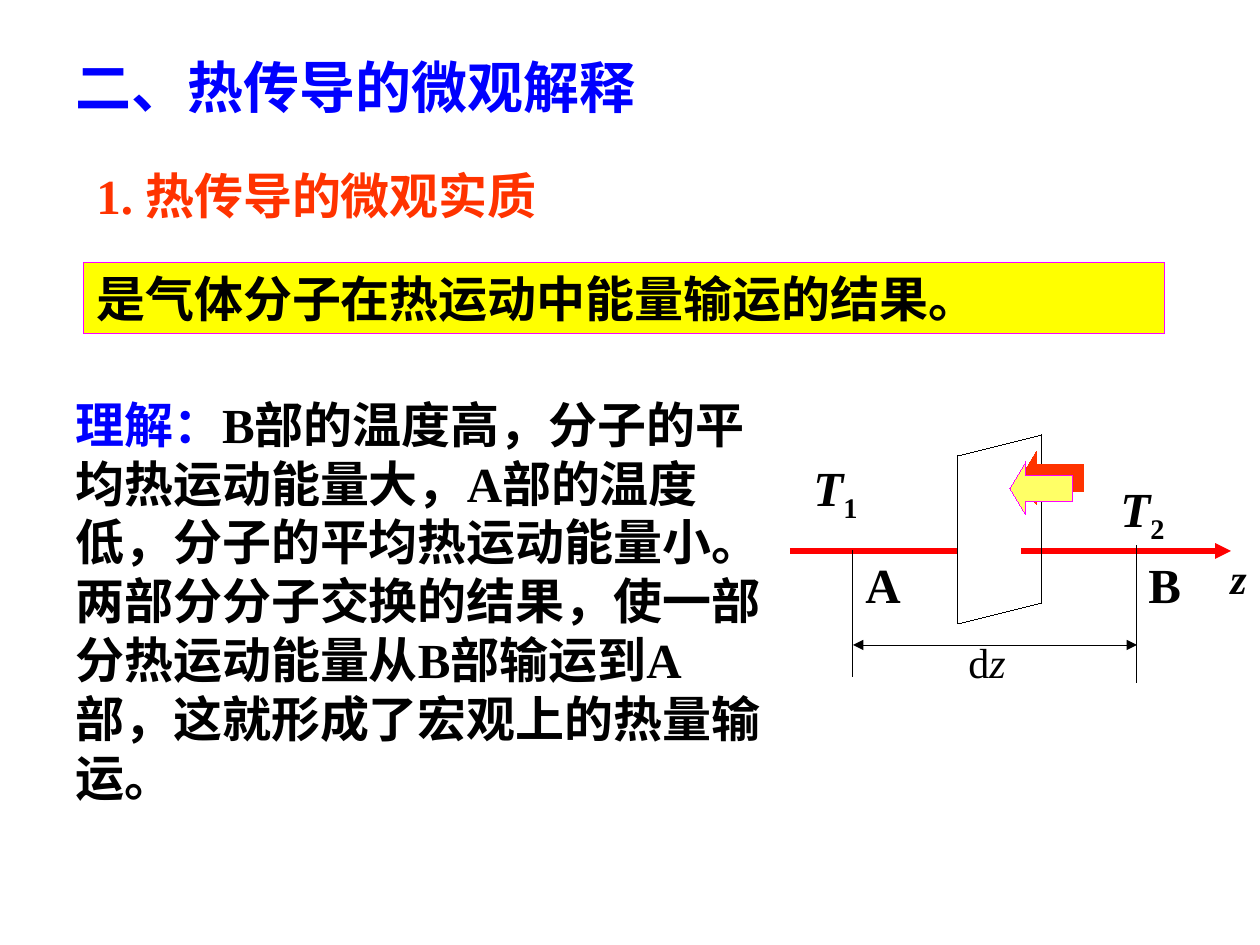
from dataclasses import dataclass
from itertools import pairwise

from lxml.etree import SubElement
from pptx import Presentation
from pptx.dml.color import RGBColor
from pptx.enum.shapes import MSO_CONNECTOR, MSO_SHAPE
from pptx.enum.text import MSO_ANCHOR, MSO_AUTO_SIZE, PP_ALIGN
from pptx.oxml.ns import qn
from pptx.util import Pt

EMU_PER_PX = 914400 / 126


@dataclass(frozen=True)
class Theme:
    font: str = "Times New Roman"
    blue: str = "0000FF"
    orange: str = "FF3300"
    black: str = "000000"
    red: str = "FF0000"
    magenta: str = "FF00FF"
    yellow: str = "FFFF00"
    pale_yellow: str = "FFFF66"
    title: int = 32
    body: int = 28
    small: int = 24
    thick: float = 3


THEME = Theme()


def px(length):
    return round(length * EMU_PER_PX)


def rgb(colour):
    return RGBColor.from_string(colour)


def drop_style(shape):
    """Remove the theme style, so that lines have the default thin width."""
    shape._element.remove(shape._element.find(qn("p:style")))


def write(shape, runs, size, colour=THEME.black, bold=True, wrap=True):
    """Fill a shape with one paragraph; each run is (text, own settings)."""
    frame = shape.text_frame
    frame.word_wrap = wrap
    frame.auto_size = MSO_AUTO_SIZE.SHAPE_TO_FIT_TEXT
    frame.vertical_anchor = MSO_ANCHOR.TOP
    paragraph = frame.paragraphs[0]
    paragraph.alignment = PP_ALIGN.LEFT
    paragraph._p.get_or_add_pPr().set("hangingPunct", "0")
    font = paragraph.font
    font.name, font.size, font.bold = THEME.font, Pt(size), bold
    font.color.rgb = rgb(colour)
    for text, own in runs:
        run = paragraph.add_run()
        run.text = text
        if "colour" in own:
            run.font.color.rgb = rgb(own["colour"])
        if own.get("italic"):
            run.font.italic = True
        if own.get("subscript"):
            run.font._element.set("baseline", "-25000")


def add_text(slide, box, runs, size, **style):
    write(slide.shapes.add_textbox(*map(px, box)), runs, size, **style)


def add_filled(slide, kind, box, fill):
    shape = slide.shapes.add_shape(kind, *map(px, box))
    drop_style(shape)
    shape.shadow.inherit = False
    shape.fill.solid()
    shape.fill.fore_color.rgb = rgb(fill)
    shape.line.color.rgb = rgb(THEME.magenta)
    return shape


def add_line(slide, start, end, colour=THEME.black, width=None, arrows=()):
    """Draw a straight line; arrows may hold headEnd and tailEnd."""
    line = slide.shapes.add_connector(
        MSO_CONNECTOR.STRAIGHT, *map(px, (*start, *end)))
    drop_style(line)
    line.line.color.rgb = rgb(colour)
    if width:
        line.line.width = Pt(width)
    for arrow in arrows:
        SubElement(line.line._get_or_add_ln(), qn(f"a:{arrow}"), type="triangle")
    SubElement(line._element.spPr, qn("a:effectLst"))


def add_hard_shadow(shape, colour, distance, degrees):
    effects = shape._element.spPr.find(qn("a:effectLst"))
    shadow = SubElement(effects, qn("a:outerShdw"), blurRad="0",
                        dist=str(Pt(distance)), dir=str(degrees * 60000),
                        algn="ctr", rotWithShape="0")
    SubElement(shadow, qn("a:srgbClr"), val=colour)


def add_headings(slide):
    add_text(slide, (63, 46, 630, 81), [("二、热传导的微观解释", {})],
             THEME.title, colour=THEME.blue)
    add_text(slide, (84, 159, 609, 72), [("1. 热传导的微观实质", {})],
             THEME.body, colour=THEME.orange)
    statement = add_filled(slide, MSO_SHAPE.RECTANGLE, (84, 262, 1081, 72),
                           THEME.yellow)
    write(statement, [("是气体分子在热运动中能量输运的结果。", {})], THEME.body)


def add_diagram(slide):
    axis_y, a_x, b_x, dz_y = 551, 853, 1137, 645

    # z axis, interrupted by the plate
    red = {"colour": THEME.red, "width": THEME.thick}
    add_line(slide, (790, axis_y), (958, axis_y), **red)
    add_line(slide, (1021, axis_y), (1231, axis_y), arrows=["tailEnd"], **red)

    # Plate between the two parts
    corners = [(958, 456), (1042, 435), (1042, 603), (958, 624)]
    for start, end in pairwise(corners + corners[:1]):
        add_line(slide, start, end)

    # Distance dz between A and B
    add_line(slide, (a_x, axis_y), (a_x, 677))
    add_line(slide, (b_x, 546), (b_x, 683))
    add_line(slide, (a_x, dz_y), (b_x, dz_y), arrows=["headEnd", "tailEnd"])

    # Labels
    italic, subscript = {"italic": True}, {"subscript": True}
    labels = [
        ((853, 548, 60, 72), [("A", {})], THEME.body, True),
        ((1136, 548, 58, 72), [("B", {})], THEME.body, True),
        ((1218, 546, 42, 63), [("z", italic)], THEME.small, True),
        ((956, 630, 66, 63), [("d", {}), ("z", italic)], THEME.small, False),
        ((801, 451, 70, 79), [("T", italic), ("1", subscript)], THEME.body, True),
        ((1108, 472, 70, 79), [("T", italic), ("2", subscript)], THEME.body, True),
    ]
    for box, runs, size, bold in labels:
        add_text(slide, box, runs, size, bold=bold, wrap=False)

    # Direction of the heat flow
    heat_flow = add_filled(slide, MSO_SHAPE.LEFT_ARROW, (1010, 462, 63, 53),
                           THEME.pale_yellow)
    heat_flow.adjustments[0] = 0.5
    heat_flow.adjustments[1] = 0.3
    add_hard_shadow(heat_flow, THEME.orange, 8.5, 315)


def add_explanation(slide):
    add_text(slide, (63, 388, 714, 425), [
        ("理解：", {"colour": THEME.blue}),
        ("B部的温度高，分子的平均热运动能量大，A部的温度低，分子的平均热运动能量小。"
         "两部分分子交换的结果，使一部分热运动能量从B部输运到A部，"
         "这就形成了宏观上的热量输运。", {}),
    ], THEME.body)


def main():
    presentation = Presentation()
    presentation.slide_width = px(1260)
    presentation.slide_height = px(945)
    slide = presentation.slides.add_slide(presentation.slide_layouts[6])
    add_headings(slide)
    add_diagram(slide)
    add_explanation(slide)
    presentation.save("out.pptx")


if __name__ == "__main__":
    main()
